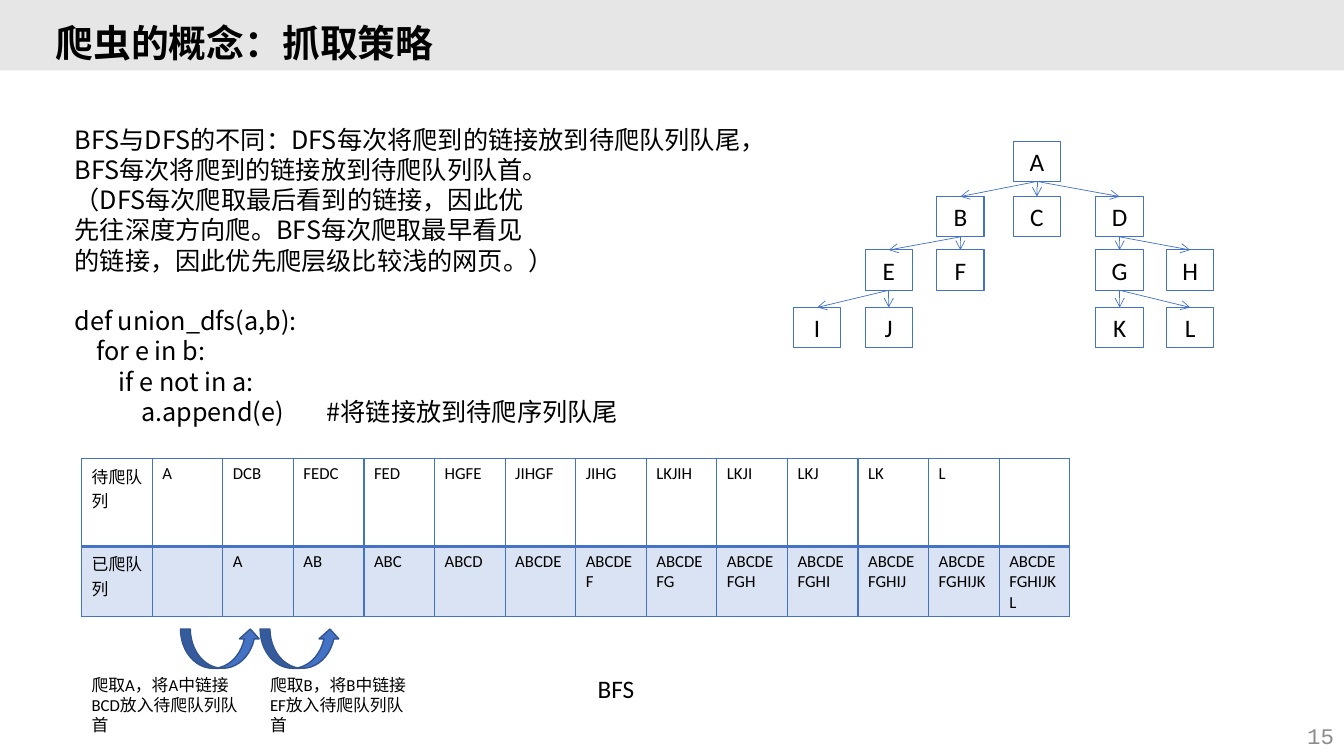
from lxml import etree
from pptx import Presentation
from pptx.dml.color import RGBColor
from pptx.enum.shapes import MSO_CONNECTOR as CONN, MSO_SHAPE as SHAPE
from pptx.enum.text import MSO_ANCHOR as ANCHOR, PP_ALIGN as ALIGN
from pptx.oxml.ns import qn
from pptx.util import Inches, Pt

# Content
TITLE = "爬虫的概念：抓取策略"
PAGE = "15"
CAPTION = "BFS"
INTRO = [
    "BFS与DFS的不同：DFS每次将爬到的链接放到待爬队列队尾，",
    "BFS每次将爬到的链接放到待爬队列队首。",
    "（DFS每次爬取最后看到的链接，因此优",
    "先往深度方向爬。BFS每次爬取最早看见",
    "的链接，因此优先爬层级比较浅的网页。）",
]
CODE = ["def union_dfs(a,b):", "for e in b:", "if e not in a:",
        "a.append(e)\t#将链接放到待爬序列队尾"]
# Each tree level maps a node to its column
LEVELS = [{"A": 3}, {"B": 2, "C": 3, "D": 4},
          {"E": 1, "F": 2, "G": 4, "H": 5}, {"I": 0, "J": 1, "K": 4, "L": 5}]
CHILDREN = {"A": "BCD", "B": "EF", "D": "GH", "E": "IJ", "G": "KL"}
PENDING = ["A", "DCB", "FEDC", "FED", "HGFE", "JIHGF", "JIHG",
           "LKJIH", "LKJI", "LKJ", "LK", "L", ""]
VISITED = ["ABCDEFGHIJKL"[:n] for n in range(len(PENDING))]
QUEUES = [["待爬队列", *PENDING], ["已爬队列", *VISITED]]
STEPS = [(1.79, 0.81, "爬取A，将A中链接BCD放入待爬队列队首"),
         (2.58, 2.58, "爬取B，将B中链接EF放入待爬队列队首")]

# Style and geometry
COLORS = {"black": "000000", "band": "E7E6E6", "page": "8C8C8C",
          "blue": "4472C4", "dark": "325491", "tint": "DAE3F3"}
SANS, MONO, CJK = "Calibri", "Courier New", "Noto Sans CJK SC"
COLUMN_X = [7.87, 8.58, 9.29, 10.05, 10.87, 11.57]
LEVEL_Y = [1.4, 1.95, 2.48, 3.05]
NODE_W, NODE_H = 0.47, 0.4
ROW_H = [0.87, 0.7]
COLUMN_W = 0.7
LINE_PT = 21.6
CODE_INDENT, COMMENT_TAB = 0.22, 3


def color(name):
    return RGBColor.from_string(COLORS[name])


def write(tf, text, size=18, font=SANS, fill="black", bold=False,
          align=ALIGN.LEFT, new=False):
    p = tf.add_paragraph() if new else tf.paragraphs[0]
    p.alignment = align
    r = p.add_run()
    r.text = text
    r.font.size, r.font.name, r.font.bold = Pt(size), font, bold
    r.font.color.rgb = color(fill)
    etree.SubElement(r.font._element, qn("a:ea"), typeface=CJK)
    return p


def add_text(x, y, w, h, text, wrap=True, **fmt):
    tf = slide.shapes.add_textbox(*map(Inches, (x, y, w, h))).text_frame
    tf.word_wrap = wrap
    write(tf, text, **fmt)
    return tf


def add_shape(kind, x, y, w, h, fill=None, line=None, width=1):
    s = slide.shapes.add_shape(kind, *map(Inches, (x, y, w, h)))
    s.shadow.inherit = False
    if fill:
        s.fill.solid()
        s.fill.fore_color.rgb = color(fill)
    else:
        s.fill.background()
    if line:
        s.line.color.rgb = color(line)
        s.line.width = Pt(width)
    else:
        s.line.fill.background()
    return s


def add_arrow(parent, child):
    c = slide.shapes.add_connector(CONN.STRAIGHT, 0, 0, 0, 0)
    c.begin_connect(parent, 2)
    c.end_connect(child, 0)
    c.line.color.rgb = color("blue")
    c.line.width = Pt(0.5)
    etree.SubElement(c.line._get_or_add_ln(), qn("a:tailEnd"), type="arrow")
    etree.SubElement(c._element.spPr, qn("a:effectLst"))


def set_borders(cell, **widths):
    tc_pr = cell._tc.get_or_add_tcPr()
    for i, side in enumerate("LRTB"):
        ln = etree.Element(qn("a:ln" + side), w=str(Pt(widths.get(side, 1))))
        solid = etree.SubElement(ln, qn("a:solidFill"))
        etree.SubElement(solid, qn("a:srgbClr"), val=COLORS["blue"])
        tc_pr.insert(i, ln)


prs = Presentation()
prs.slide_width, prs.slide_height = Inches(13.33), Inches(7.5)
slide = prs.slides.add_slide(prs.slide_layouts[5])

# Title on its band
band = add_shape(SHAPE.RECTANGLE, 0, 0, 13.33, 0.7, fill="band")
slide.shapes._spTree.insert(2, band._element)
title = slide.shapes.title
title.left, title.top = Inches(0.45), Inches(0.11)
title.width, title.height = Inches(12.51), Inches(0.68)
title.text_frame.vertical_anchor = ANCHOR.MIDDLE
write(title.text_frame, TITLE, size=27, font=MONO, bold=True).line_spacing = 0.9

# Explanation and code
tf = add_text(0.74, 1.23, 7.6, 3.1, INTRO[0], font=CJK)
tf.margin_left = tf.margin_right = tf.margin_top = tf.margin_bottom = 0
for line in INTRO[1:]:
    write(tf, line, font=CJK, new=True)
for depth, line in enumerate(CODE):
    p = write(tf, line, font=CJK, new=True)
    p_pr = p._p.get_or_add_pPr()
    p_pr.set("marL", "0")
    p_pr.set("indent", str(Inches(CODE_INDENT * depth)))
    if depth == 0:
        p.space_before = Pt(LINE_PT)
    if "\t" in line:
        tabs = etree.SubElement(p_pr, qn("a:tabLst"))
        etree.SubElement(tabs, qn("a:tab"), pos=str(Inches(COMMENT_TAB)), algn="l")
for p in tf.paragraphs:
    p.line_spacing = Pt(LINE_PT)

# Link tree
nodes = {}
for y, level in zip(LEVEL_Y, LEVELS):
    for name, column in level.items():
        s = add_shape(SHAPE.RECTANGLE, COLUMN_X[column], y, NODE_W, NODE_H,
                      line="blue", width=0.75)
        s.text_frame.word_wrap = False
        write(s.text_frame, name, align=ALIGN.CENTER)
        nodes[name] = s
for parent, children in CHILDREN.items():
    for child in children:
        add_arrow(nodes[parent], nodes[child])

# Queue table
n_cols = len(QUEUES[0])
table = slide.shapes.add_table(
    len(QUEUES), n_cols, Inches(0.81), Inches(4.55),
    Inches(COLUMN_W * n_cols), Inches(sum(ROW_H))).table
table.first_row = table.horz_banding = False
for column in table.columns:
    column.width = Inches(COLUMN_W)
for i, queue in enumerate(QUEUES):
    table.rows[i].height = Inches(ROW_H[i])
    for j, text in enumerate(queue):
        cell = table.cell(i, j)
        if i:
            cell.fill.solid()
            cell.fill.fore_color.rgb = color("tint")
            set_borders(cell, T=2)
        else:
            cell.fill.background()
            set_borders(cell, B=2)
        if text:
            write(cell.text_frame, text, size=12)

# Crawl steps, caption and page number
for arrow_x, note_x, text in STEPS:
    add_shape(SHAPE.CURVED_UP_ARROW, arrow_x, 6.24, 0.79, 0.39,
              fill="blue", line="dark")
    add_text(note_x, 6.64, 1.65, 0.71, text, size=12)
add_text(5.83, 6.63, 0.59, 0.4, CAPTION, wrap=False)
tf = add_text(10.33, 7.1, 3, 0.4, PAGE, size=16, font=MONO, fill="page",
              align=ALIGN.RIGHT)
tf.vertical_anchor = ANCHOR.MIDDLE

prs.save("out.pptx")
